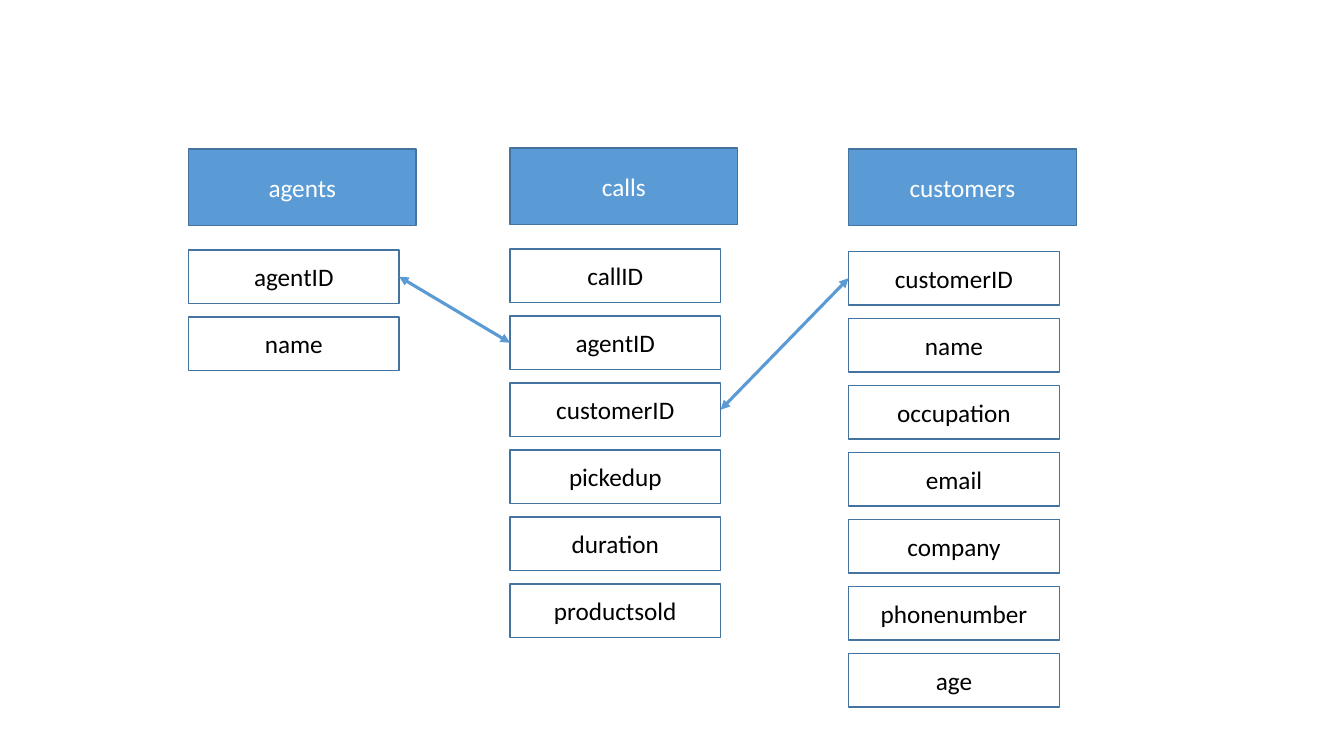
from dataclasses import dataclass

from lxml import etree
from pptx import Presentation
from pptx.dml.color import RGBColor
from pptx.enum.shapes import MSO_CONNECTOR, MSO_SHAPE
from pptx.enum.text import MSO_ANCHOR, PP_ALIGN
from pptx.oxml.ns import qn
from pptx.util import Pt

PX = 4572
RECT = MSO_SHAPE.RECTANGLE
STRAIGHT = MSO_CONNECTOR.STRAIGHT
MIDDLE = MSO_ANCHOR.MIDDLE
CENTER = PP_ALIGN.CENTER
LEFT_SIDE, RIGHT_SIDE = 1, 3


@dataclass(frozen=True)
class Theme:
    font: str = "Calibri"
    text_size: int = 18
    border_width: float = 1
    link_width: float = 2.25
    blue: RGBColor = RGBColor(0x5B, 0x9B, 0xD5)
    border: RGBColor = RGBColor(0x43, 0x73, 0x9E)
    white: RGBColor = RGBColor(0xFF, 0xFF, 0xFF)
    black: RGBColor = RGBColor(0, 0, 0)


THEME = Theme()
HEADER_W, HEADER_H = 452, 152
FIELD_W, FIELD_H, FIELD_PITCH = 418, 106, 133

TABLES = {
    "agents": ((374, 296), 200, ["agentID", "name"]),
    "calls": ((1012, 294), 200,
              ["callID", "agentID", "customerID", "pickedup", "duration", "productsold"]),
    "customers": ((1684, 296), 203,
                  ["customerID", "name", "occupation", "email", "company",
                   "phonenumber", "age"]),
}
LINKS = [("agents", "calls", "agentID"), ("calls", "customers", "customerID")]


def add_box(s, box, text, color, fill=None):
    sp = s.shapes.add_shape(RECT, *(v * PX for v in box))
    sp.shadow.inherit = False
    if fill is None:
        sp.fill.background()
    else:
        sp.fill.solid()
        sp.fill.fore_color.rgb = fill
    sp.line.color.rgb = THEME.border
    sp.line.width = Pt(THEME.border_width)
    tf = sp.text_frame
    tf.text = text
    tf.vertical_anchor = MIDDLE
    p = tf.paragraphs[0]
    p.alignment = CENTER
    font = p.runs[0].font
    font.name = THEME.font
    font.size = Pt(THEME.text_size)
    font.color.rgb = color
    return sp


def add_entity(s, origin, field_offset, name, fields):
    x, y = origin
    add_box(s, (x, y, HEADER_W, HEADER_H), name, THEME.white, THEME.blue)
    return {
        field: add_box(s, (x, y + field_offset + i * FIELD_PITCH, FIELD_W, FIELD_H),
                       field, THEME.black)
        for i, field in enumerate(fields)
    }


def add_link(s, start, end):
    link = s.shapes.add_connector(STRAIGHT, 0, 0, 0, 0)
    link.begin_connect(start, RIGHT_SIDE)
    link.end_connect(end, LEFT_SIDE)
    link.line.color.rgb = THEME.blue
    link.line.width = Pt(THEME.link_width)
    ln = link.line._get_or_add_ln()
    for tag in ("a:headEnd", "a:tailEnd"):
        etree.SubElement(ln, qn(tag), type="triangle")
    etree.SubElement(link._element.spPr, qn("a:effectLst"))


def add_schema_slide(prs):
    s = prs.slides.add_slide(prs.slide_layouts[6])
    entities = {
        name: add_entity(s, origin, offset, name, fields)
        for name, (origin, offset, fields) in TABLES.items()
    }
    for source, target, key in LINKS:
        add_link(s, entities[source][key], entities[target][key])


def main():
    prs = Presentation()
    prs.slide_width = 2667 * PX
    prs.slide_height = 1500 * PX
    add_schema_slide(prs)
    prs.save("out.pptx")


if __name__ == "__main__":
    main()
